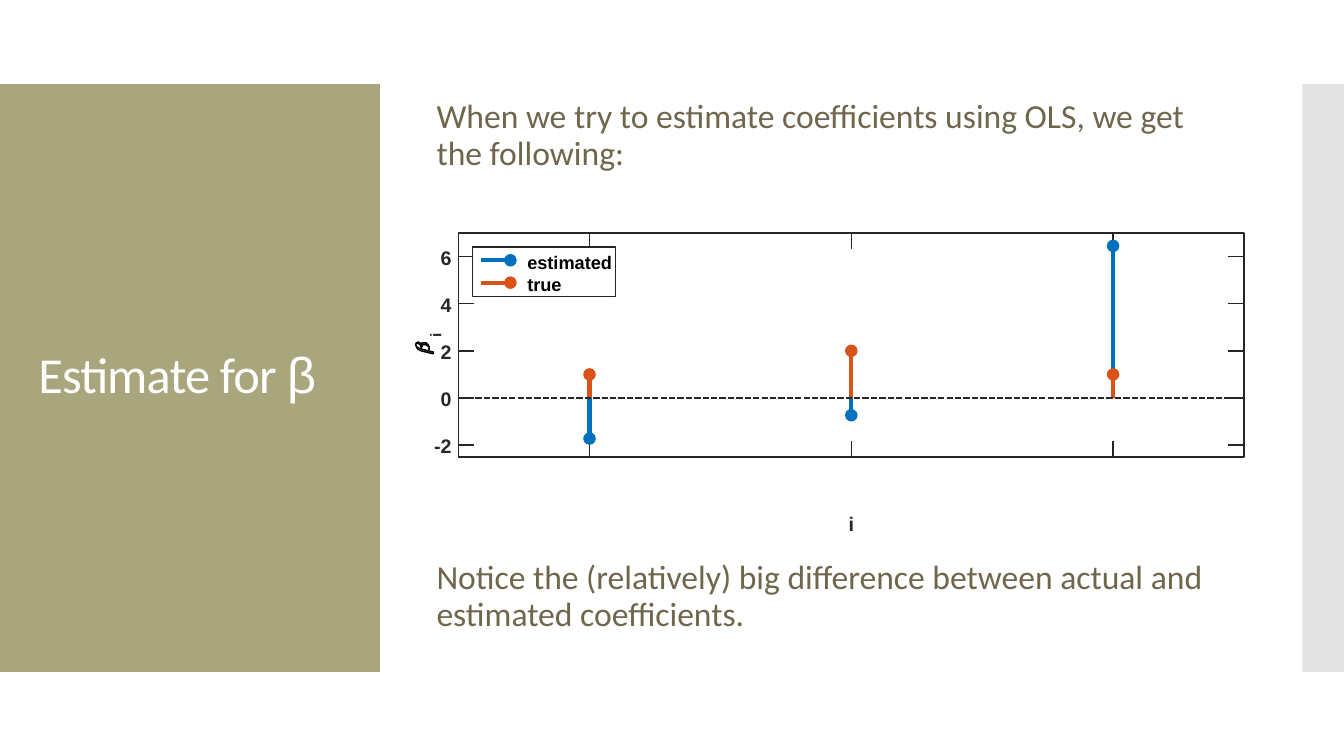
from lxml import etree
from pptx import Presentation
from pptx.dml.color import RGBColor
from pptx.enum import dml, shapes, text
from pptx.oxml.ns import qn
from pptx.util import Pt

INK, BLUE, ORANGE, WHITE = "262626", "0072BD", "D95319", "FFFFFF"
ESTIMATED = (-1.72, -0.73, 6.45)
TRUE = (1, 2, 1)

# Beta glyph lying on its side: outline and two counters, in hundredths of an inch
BETA = (
    [(18, 11), (18, 12), (17, 12), (5, 9), (2, 7), (1, 5), (0, 3), (1, 1), (3, 0),
     (5, 1), (6, 2), (7, 1), (9, 1), (11, 1), (13, 3), (14, 5), (14, 8), (13, 9), (18, 10)],
    [(14, 6), (13, 5), (12, 4), (10, 3), (8, 3), (7, 3), (7, 5), (6, 6), (5, 4),
     (5, 3), (3, 2), (1, 2), (1, 4), (3, 6), (6, 7), (10, 8), (12, 9), (13, 8)],
    [(6, 5), (7, 4.5), (6, 4)],
)


def color(value):
    return RGBColor.from_string(value)


def add_run(p, content, font="Arial", size=14, fill=INK, bold=False, spacing=None):
    r = p.add_run()
    r.text = content
    r.font.name, r.font.size, r.font.bold = font, Pt(size), bold
    r.font.color.rgb = color(fill)
    if spacing is not None:
        r.font._element.set("spc", str(spacing))
    return r


def add_rect(parent, x, y, w, h, fill=None, line=None, alpha=None):
    sp = parent.add_shape(shapes.MSO_SHAPE.RECTANGLE, Pt(x), Pt(y), Pt(w), Pt(h))
    sp.shadow.inherit = False
    if fill:
        sp.fill.solid()
        sp.fill.fore_color.rgb = color(fill)
    else:
        sp.fill.background()
    if line:
        sp.line.color.rgb = color(line)
        sp.line.width = Pt(1)
    else:
        sp.line.fill.background()
    if alpha:
        rgb = sp.element.spPr.find(".//" + qn("a:srgbClr"))
        etree.SubElement(rgb, qn("a:alpha")).set("val", str(alpha * 1000))
    return sp


def add_line(parent, x1, y1, x2, y2, stroke=INK, width=1, dash=None, dot=False):
    ln = parent.add_connector(shapes.MSO_CONNECTOR.STRAIGHT, Pt(x1), Pt(y1), Pt(x2), Pt(y2))
    ln.line.color.rgb = color(stroke)
    ln.line.width = Pt(width)
    if dash:
        ln.line.dash_style = dash
    if dot:
        etree.SubElement(ln.line._get_or_add_ln(), qn("a:tailEnd")).set("type", "oval")
    etree.SubElement(ln.element.spPr, qn("a:effectLst"))


def add_label(parent, x, y, w, h, content, align=text.PP_ALIGN.LEFT, rotation=0, **fmt):
    sp = parent.add_textbox(Pt(x), Pt(y), Pt(w), Pt(h))
    sp.rotation = rotation
    tf = sp.text_frame
    tf.word_wrap = False
    tf.margin_left = tf.margin_right = tf.margin_top = tf.margin_bottom = 0
    tf.paragraphs[0].alignment = align
    add_run(tf.paragraphs[0], content, bold=True, **fmt)


def place(sp, x, y, w, h, anchor):
    sp.left, sp.top, sp.width, sp.height = Pt(x), Pt(y), Pt(w), Pt(h)
    tf = sp.text_frame
    tf.word_wrap = True
    tf.auto_size = text.MSO_AUTO_SIZE.NONE
    tf.vertical_anchor = anchor
    return tf


def add_title(s, x, y, w, h):
    # Green panel behind the title
    panel = add_rect(s.shapes, x, y, w, h, "A9A57C")
    s.shapes.title.element.addprevious(panel.element)
    tf = place(s.shapes.title, x + 20.2, y + 28.5, w - 39.4, h - 57.6, text.MSO_ANCHOR.MIDDLE)
    p = tf.paragraphs[0]
    p.alignment = text.PP_ALIGN.LEFT
    p.line_spacing = 0.9
    add_run(p, "Estimate for ", "Calibri", 36, WHITE, spacing=-60)
    add_run(p, "β", "Arial", 36, WHITE, spacing=-60)


def add_body(s, x, y, w, h):
    tf = place(s.placeholders[1], x, y, w, h, text.MSO_ANCHOR.TOP)
    remarks = (
        ("When we try to estimate coefficients using OLS, we get the following:", 0),
        ("Notice the (relatively) big difference between actual and estimated coefficients.", 277.5),
    )
    for k, (remark, before) in enumerate(remarks):
        p = tf.add_paragraph() if k else tf.paragraphs[0]
        pPr = p._p.get_or_add_pPr()
        pPr.set("marL", "0")
        pPr.set("indent", "0")
        etree.SubElement(pPr, qn("a:buNone"))
        p.alignment = text.PP_ALIGN.LEFT
        p.line_spacing = 0.9
        p.space_before = Pt(before)
        add_run(p, remark, "Calibri", 24, "6F664C")


def add_legend(g, x, y, w, h):
    add_rect(g, x, y, w, h, WHITE, INK)
    for k, (name, stroke) in enumerate((("estimated", BLUE), ("true", ORANGE))):
        row = y + 9.5 + 16 * k
        add_label(g, x + 38.9, row - 6.5, 62.5, 15.8, name, size=13, fill="000000")
        add_line(g, x + 5.8, row, x + 26.9, row, stroke, 3, dot=True)


def add_beta(g, x, y):
    fb = None
    for contour in BETA:
        points = [(Pt(x + 0.72 * a), Pt(y + 0.72 * b)) for a, b in contour]
        if fb is None:
            fb = g.build_freeform(*points[0])
        else:
            fb.move_to(*points[0])
        fb.add_line_segments(points[1:], close=True)
    sp = fb.convert_to_shape()
    sp.shadow.inherit = False
    sp.fill.solid()
    sp.fill.fore_color.rgb = color(INK)
    sp.line.color.rgb = color("000000")
    sp.line.width = 0


def add_stem_plot(s, x, y, w, h):
    g = s.shapes.add_group_shape().shapes
    right, bottom, tick = x + w, y + h, 11.3

    def at_i(i):
        return x + (i - 0.5) / 3 * w

    def at_beta(value):
        return bottom - (value + 2.5) / 9.5 * h

    # Frame and ticks
    add_rect(g, x, y, w, h, WHITE, INK)
    for i in (1, 2, 3):
        add_line(g, at_i(i), bottom, at_i(i), bottom - tick)
        add_line(g, at_i(i), y, at_i(i), y + tick)
    for value in range(-2, 7, 2):
        level = at_beta(value)
        add_line(g, x, level, x + tick, level)
        add_line(g, right, level, right - tick, level)
        # Right edge 5 pt left of the axis, with room for the minus sign
        add_label(g, x - 21, level - 7.7, 16, 17.3, str(value), text.PP_ALIGN.RIGHT)

    # Axis names
    add_label(g, at_i(2) - 3, bottom + 39.6, 6, 17.3, "i", text.PP_ALIGN.CENTER)
    add_beta(g, x - 31, y + 77.7)
    add_label(g, x - 18, y + 66.2, 2.9, 13.7, "i", rotation=270, size=11)

    # Stems and zero line
    for values, stroke in ((ESTIMATED, BLUE), (TRUE, ORANGE)):
        for i, value in enumerate(values, 1):
            add_line(g, at_i(i), at_beta(0), at_i(i), at_beta(value), stroke, 3, dot=True)
    add_line(g, x, at_beta(0), right, at_beta(0), width=1.5, dash=dml.MSO_LINE.SQUARE_DOT)
    add_legend(g, x + 10.1, y + 10, 102, 35.3)


def main():
    prs = Presentation()
    prs.slide_width, prs.slide_height = Pt(960), Pt(540)
    s = prs.slides.add_slide(prs.slide_layouts[1])
    add_title(s, 0, 60, 271.4, 420)
    add_rect(s.shapes, 930.2, 60, 29.8, 420, "C8C8C8", alpha=50)
    add_body(s, 304.6, 67.7, 576, 403.2)
    add_stem_plot(s, 327.6, 166.4, 561, 160)
    prs.save("out.pptx")


if __name__ == "__main__":
    main()
